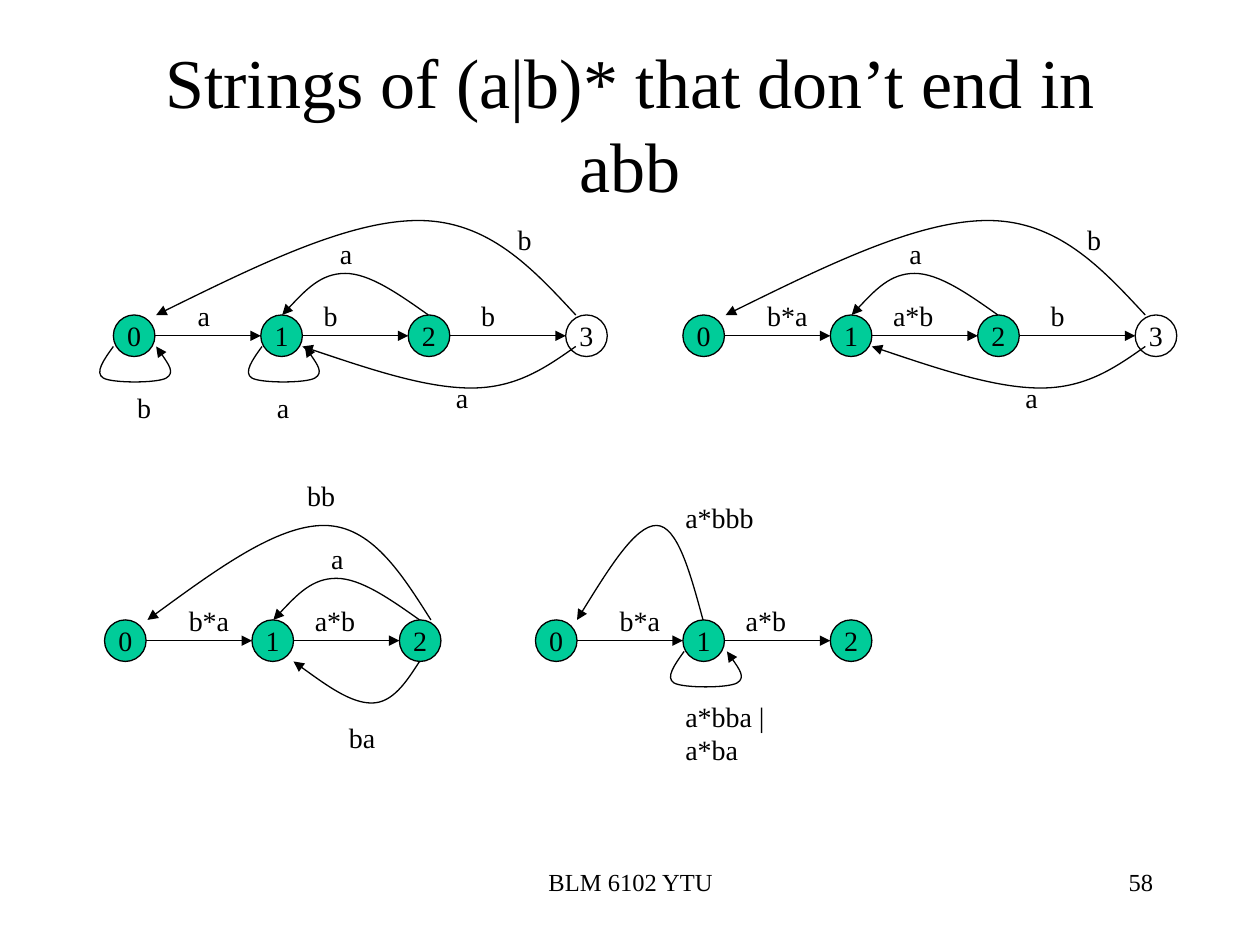
from lxml.etree import SubElement
from pptx import Presentation
from pptx.dml.color import RGBColor
from pptx.enum.shapes import MSO_CONNECTOR, MSO_SHAPE
from pptx.enum.text import MSO_ANCHOR, MSO_AUTO_SIZE, PP_ALIGN
from pptx.oxml.ns import qn
from pptx.util import Inches, Pt

COLORS = {"ink": "000000", "accepting": "00CC99"}
FONT = "Times New Roman"
GLYPH_EM = {"a": 0.44, "b": 0.5, "*": 0.5, "|": 0.2, " ": 0.25}

DIAMETER = 0.33
STATE_X = [0, 1.17, 2.34, 3.59]
EDGE_LABEL_X = [0.57, 1.57, 2.82]


def write(frame, text, size, align=PP_ALIGN.LEFT):
    for index, line in enumerate(text.split("\n")):
        para = frame.add_paragraph() if index else frame.paragraphs[0]
        para.alignment = align
        span = para.add_run()
        span.text = line
        span.font.size = Pt(size)
        span.font.name = FONT
        span.font.color.rgb = RGBColor.from_string(COLORS["ink"])


def style_arrow(shape):
    """Thin dark line without shadow, with a triangle at its end."""
    shape.line.color.rgb = RGBColor.from_string(COLORS["ink"])
    shape.line.width = Pt(0.75)
    properties = shape._element.spPr
    SubElement(properties.find(qn("a:ln")), qn("a:tailEnd"), type="triangle")
    SubElement(properties, qn("a:effectLst"))


deck = Presentation()
deck.slide_width, deck.slide_height = Inches(10), Inches(7.5)
page = deck.slides.add_slide(deck.slide_layouts[5])

title = page.shapes.title
title.left, title.top = Inches(0.75), Inches(0.67)
title.width, title.height = Inches(8.5), Inches(1.25)
title.text_frame.auto_size = MSO_AUTO_SIZE.NONE
title.text_frame.vertical_anchor = MSO_ANCHOR.MIDDLE
title.text_frame.margin_bottom = Inches(0.69)
write(title.text_frame, "Strings of (a|b)* that don’t end in abb", 40, PP_ALIGN.CENTER)

for left, width, text, align in [
    (3.42, 3.17, "BLM 6102 YTU", PP_ALIGN.CENTER),
    (7.17, 2.08, "58", PP_ALIGN.RIGHT),
]:
    box = page.shapes.add_textbox(Inches(left), Inches(6.83), Inches(width), Inches(0.5))
    box.text_frame.word_wrap = True
    write(box.text_frame, text, 14, align)

# Points and label places are relative to the top left of state 0.
back_on_a = ([(2.5, 0), (1.84, -0.33), (1.34, 0)], "a", (1.7, -0.67))
three_to_zero = ([(3.67, 0), (2.42, -0.75), (0.34, 0)], "b", (3.11, -0.78))
three_to_one = ([(3.67, 0.25), (2.84, 0.58), (1.5, 0.25)], "a", (2.62, 0.47))
loop_zero = [(0, 0.25), (-0.08, 0.5), (0.42, 0.5), (0.34, 0.25)]
loop_one = [(x + 1.18, y) for x, y in loop_zero]

# Each automaton: left, top, labels of the forward edges, curved edges.
automata = [
    (0.9, 2.5, ["a", "b", "b"], [
        (loop_zero, "b", (0.09, 0.55)),
        (loop_one, "a", (1.2, 0.55)),
        back_on_a, three_to_zero, three_to_one,
    ]),
    (5.42, 2.5, ["b*a", "a*b", "b"], [back_on_a, three_to_zero, three_to_one]),
    (0.83, 4.92, ["b*a", "a*b"], [
        back_on_a,
        ([(2.59, 0), (1.74, -0.75), (0.34, 0)], "bb", (1.51, -1.17)),
        ([(2.5, 0.33), (2.12, 0.66), (1.5, 0.33)], "ba", (1.84, 0.75)),
    ]),
    (4.25, 4.92, ["b*a", "a*b"], [
        ([(1.33, 0), (0.96, -0.75), (0.33, 0)], "a*bbb", (1.09, -1)),
        (loop_one, "a*bba |\na*ba", (1.09, 0.58)),
    ]),
]

for left, top, edge_labels, curves in automata:
    for number, x in enumerate(STATE_X[:len(edge_labels) + 1]):
        state = page.shapes.add_shape(
            MSO_SHAPE.OVAL, Inches(left + x), Inches(top), Inches(DIAMETER), Inches(DIAMETER))
        state.shadow.inherit = False
        if number < 3:
            state.fill.solid()
            state.fill.fore_color.rgb = RGBColor.from_string(COLORS["accepting"])
        else:
            state.fill.background()
        state.line.color.rgb = RGBColor.from_string(COLORS["ink"])
        state.line.width = Pt(0.75)
        state.text_frame.word_wrap = False
        state.text_frame.vertical_anchor = MSO_ANCHOR.MIDDLE
        write(state.text_frame, str(number), 16, PP_ALIGN.CENTER)

    labels = []
    middle = Inches(top + DIAMETER / 2)
    for index, text in enumerate(edge_labels):
        edge = page.shapes.add_connector(
            MSO_CONNECTOR.STRAIGHT, Inches(left + STATE_X[index] + DIAMETER), middle,
            Inches(left + STATE_X[index + 1]), middle)
        style_arrow(edge)
        labels.append((text, (EDGE_LABEL_X[index], -0.18)))

    for points, text, place in curves:
        labels.append((text, place))
        # Inner points get a tangent parallel to the chord of their neighbours.
        bends = []
        for (ax, ay), (bx, by), (cx, cy) in zip(points, points[1:], points[2:]):
            dx, dy = (cx - ax) / 6, (cy - ay) / 6
            bends += [(bx - dx, by - dy), (bx, by), (bx + dx, by + dy)]
        (sx, sy), (ex, ey) = points[0], points[-1]
        (fx, fy), (lx, ly) = bends[0], bends[-1]
        path_points = [((sx + fx) / 2, (sy + fy) / 2), *bends,
                       ((lx + ex) / 2, (ly + ey) / 2), (ex, ey)]
        builder = page.shapes.build_freeform(Inches(left + sx), Inches(top + sy))
        builder.add_line_segments(
            [(Inches(left + x), Inches(top + y)) for x, y in path_points], close=False)
        curve = builder.convert_to_shape()
        curve.fill.background()

        # Every three straight segments become one Bézier segment.
        outline = curve._element.spPr.find(".//" + qn("a:path"))
        segments = outline.findall(qn("a:lnTo"))
        for first in range(0, len(segments), 3):
            bezier = SubElement(outline, qn("a:cubicBezTo"))
            for segment in segments[first:first + 3]:
                bezier.append(segment[0])
                outline.remove(segment)
        style_arrow(curve)

    for text, (x, y) in labels:
        lines = text.split("\n")
        width = 0.2 + max(sum(GLYPH_EM[glyph] for glyph in line) for line in lines) * 16 / 72
        box = page.shapes.add_textbox(
            Inches(left + x), Inches(top + y), Inches(width), Inches(0.1 + 0.27 * len(lines)))
        box.text_frame.word_wrap = False
        box.text_frame.auto_size = MSO_AUTO_SIZE.SHAPE_TO_FIT_TEXT
        write(box.text_frame, text, 16)

deck.save("out.pptx")
